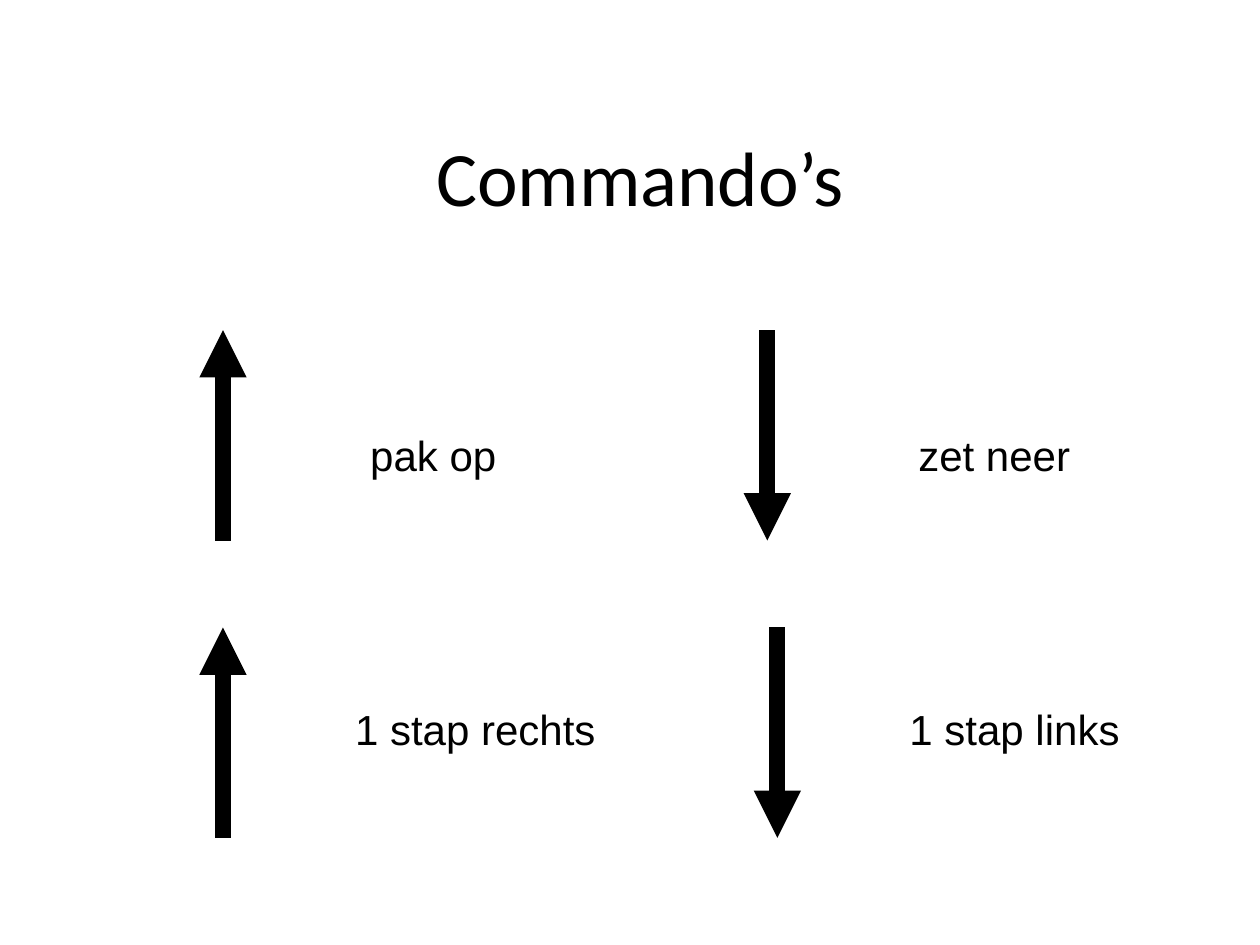
import pptx
from lxml import etree
from pptx.dml.color import RGBColor
from pptx.enum.shapes import MSO_CONNECTOR
from pptx.enum.text import MSO_ANCHOR, PP_ALIGN
from pptx.oxml.ns import qn
from pptx.util import Pt

COLORS = {"ink": "000000", "background": "FFFFFF"}
INK = RGBColor.from_string(COLORS["ink"])
ARROW_LENGTH = 120.24

presentation = pptx.Presentation()
presentation.slide_width = Pt(720)
presentation.slide_height = Pt(540)
slide = presentation.slides.add_slide(presentation.slide_layouts[5])
slide.background.fill.solid()
slide.background.fill.fore_color.rgb = RGBColor.from_string(COLORS["background"])

heading = slide.shapes.title
heading.left, heading.top = Pt(41.76), Pt(55.44)
heading.width, heading.height = Pt(648), Pt(90)
heading.text_frame.text = "Commando’s"
heading.text_frame.vertical_anchor = MSO_ANCHOR.MIDDLE
heading_line = heading.text_frame.paragraphs[0]
heading_line.alignment = PP_ALIGN.CENTER
heading_line.font.name = "Calibri"
heading_line.font.size = Pt(44)
heading_line.font.color.rgb = INK

# command, direction, arrow x, arrow top, label left, label top
commands = [
    ("pak op", "up", 127.44, 188.64, 204.48, 238.32),
    ("zet neer", "down", 438.48, 188.64, 517.68, 238.32),
    ("1 stap rechts", "up", 127.44, 358.56, 195.84, 394.56),
    ("1 stap links", "down", 444.24, 358.56, 512.64, 394.56),
]

for command, direction, arrow_x, arrow_top, label_left, label_top in commands:
    start, end = arrow_top, arrow_top + ARROW_LENGTH
    if direction == "up":
        start, end = end, start
    arrow = slide.shapes.add_connector(
        MSO_CONNECTOR.STRAIGHT, Pt(arrow_x), Pt(start), Pt(arrow_x), Pt(end)
    )
    arrow.line.color.rgb = INK
    arrow.line.width = Pt(9)
    etree.SubElement(arrow.line._get_or_add_ln(), qn("a:tailEnd"), type="triangle")
    etree.SubElement(arrow._element.spPr, qn("a:effectLst"))

    label = slide.shapes.add_textbox(Pt(label_left), Pt(label_top), Pt(180), Pt(64.08))
    frame = label.text_frame
    frame.word_wrap = True
    frame.margin_left = frame.margin_right = Pt(7.2)
    frame.margin_top = frame.margin_bottom = Pt(7.2)
    frame.text = command
    label_font = frame.paragraphs[0].font
    label_font.name = "Arial"
    label_font.size = Pt(24)
    label_font.color.rgb = INK

presentation.save("out.pptx")
